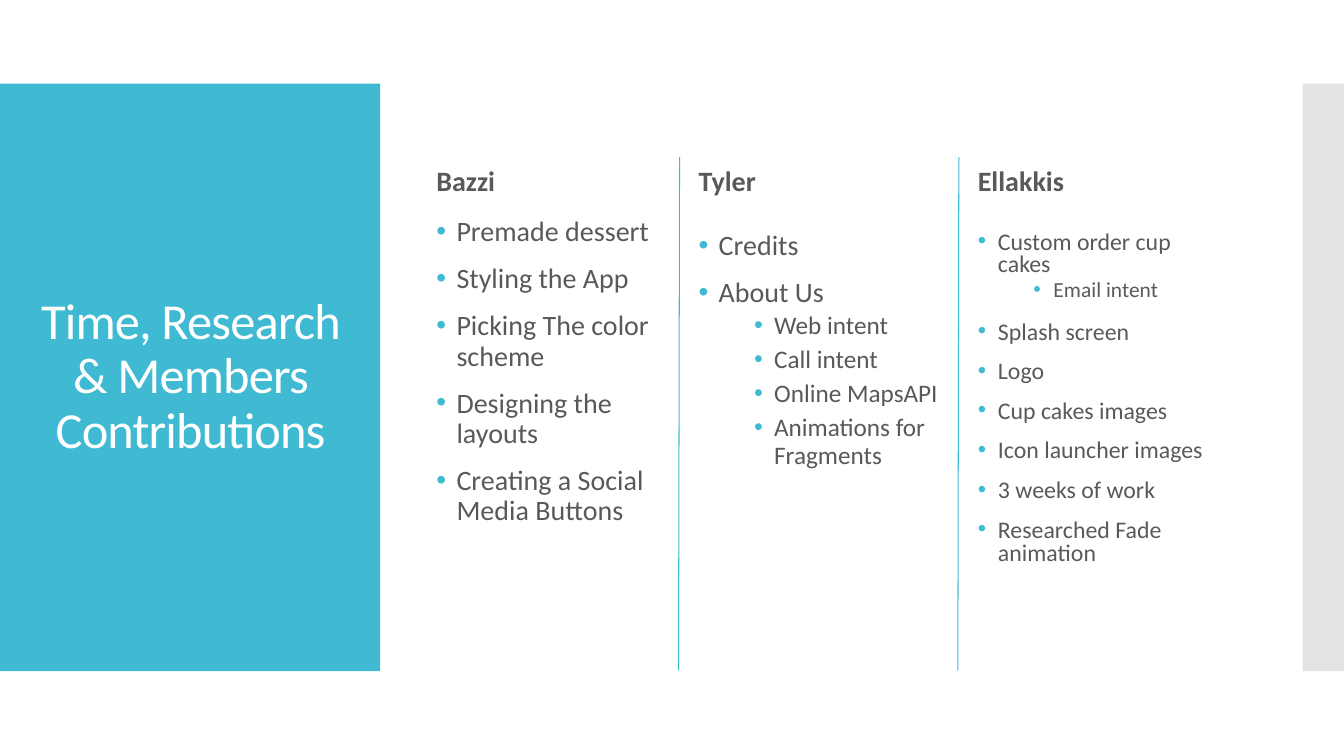
import lxml.etree
import pptx
import pptx.dml.color
import pptx.enum.shapes
import pptx.enum.text
import pptx.oxml.ns
import pptx.util
from pptx.util import Inches

# Content: each item is (level, text)
TITLE = "Time, Research & Members Contributions"
MEMBERS = [
    {"name": "Bazzi", "items": [
        (0, "Premade dessert"),
        (0, "Styling the App"),
        (0, "Picking The color scheme"),
        (0, "Designing the layouts"),
        (0, "Creating a Social Media Buttons"),
    ]},
    {"name": "Tyler", "items": [
        (0, "Credits"),
        (0, "About Us"),
        (1, "Web intent"),
        (1, "Call intent"),
        (1, "Online MapsAPI"),
        (1, "Animations for Fragments"),
    ]},
    {"name": "Ellakkis", "items": [
        (0, "Custom order cup cakes"),
        (1, "Email intent"),
        (0, "Splash screen"),
        (0, "Logo"),
        (0, "Cup cakes images"),
        (0, "Icon launcher images"),
        (0, "3 weeks of work"),
        (0, "Researched Fade animation"),
    ]},
]

# Layout: left and width of each column, then top and height of its list
COLUMNS = [
    {"left": 4.23, "width": 2.5, "top": 2.11, "height": 4.4, "sizes": (20, 18), "line": 0.9},
    {"left": 6.83, "width": 2.68, "top": 2.25, "height": 3.56, "sizes": (20, 18), "line": 0.9},
    {"left": 9.6, "width": 2.66, "top": 2.25, "height": 3.56, "sizes": (17, 15.3), "line": 0.8},
]
NAME_TOP, NAME_HEIGHT = 1.23, 0.78
PANEL_TOP, PANEL_HEIGHT = 0.83, 5.83
DIVIDER_TOP, DIVIDER_BOTTOM = 1.56, 6.65
LEVEL_INDENTS = (0.2, 0.75)
BULLET_HANG = 0.2

THEME = {
    "font": "Calibri",
    "accent": "40BAD2",
    "edge": "C8C8C8",
    "text": "595959",
    "title": "FFFFFF",
    "title_size": 36,
    "name_size": 20,
}


def rgb(key):
    return pptx.dml.color.RGBColor.from_string(THEME[key])


def add_element(parent, tag, **attributes):
    return lxml.etree.SubElement(parent, pptx.oxml.ns.qn(tag), **attributes)


def style(para, size, color, line_spacing=0.9, bold=False):
    para.line_spacing = line_spacing
    para.font.name = THEME["font"]
    para.font.size = pptx.util.Pt(size)
    para.font.bold = bold
    para.font.color.rgb = rgb(color)


def add_panel(page, left, width, color):
    panel = page.shapes.add_shape(
        pptx.enum.shapes.MSO_SHAPE.RECTANGLE,
        Inches(left), Inches(PANEL_TOP), Inches(width), Inches(PANEL_HEIGHT))
    panel.shadow.inherit = False
    panel.fill.solid()
    panel.fill.fore_color.rgb = rgb(color)
    panel.line.fill.background()
    return panel


def add_text_frame(page, left, top, width, height):
    box = page.shapes.add_textbox(Inches(left), Inches(top), Inches(width), Inches(height))
    box.text_frame.word_wrap = True
    return box.text_frame


def add_bullet(para, level):
    para.level = level
    properties = para._p.get_or_add_pPr()
    properties.set("marL", str(Inches(LEVEL_INDENTS[level])))
    properties.set("indent", str(-Inches(BULLET_HANG)))
    color = add_element(properties, "a:buClr")
    add_element(color, "a:srgbClr", val=THEME["accent"])
    add_element(properties, "a:buFont", typeface="Arial")
    add_element(properties, "a:buChar", char="•")


def add_member(page, member, column):
    # Name
    frame = add_text_frame(page, column["left"], NAME_TOP, column["width"], NAME_HEIGHT)
    frame.vertical_anchor = pptx.enum.text.MSO_ANCHOR.BOTTOM
    frame.text = member["name"]
    style(frame.paragraphs[0], THEME["name_size"], "text", bold=True)

    # Contributions
    frame = add_text_frame(page, column["left"], column["top"], column["width"], column["height"])
    for index, (level, text) in enumerate(member["items"]):
        para = frame.add_paragraph() if index else frame.paragraphs[0]
        para.text = text
        add_bullet(para, level)
        style(para, column["sizes"][level], "text", column["line"])
        if index:
            para.space_before = pptx.util.Pt(2.5 if level else 12)
        para.space_after = pptx.util.Pt(2.5 if level else 0)


def add_divider(page, bottom_x):
    divider = page.shapes.add_connector(
        pptx.enum.shapes.MSO_CONNECTOR.STRAIGHT,
        Inches(bottom_x + 0.01), Inches(DIVIDER_TOP), Inches(bottom_x), Inches(DIVIDER_BOTTOM))
    divider.line.color.rgb = rgb("accent")
    divider.line.width = pptx.util.Pt(0.75)
    add_element(divider._element.spPr, "a:effectLst")


def add_title(page):
    title = page.shapes.title
    title.left, title.top = Inches(0.28), Inches(1.23)
    title.width, title.height = Inches(3.22), Inches(5.03)
    frame = title.text_frame
    frame.text = TITLE
    frame.word_wrap = True
    frame.auto_size = pptx.enum.text.MSO_AUTO_SIZE.NONE
    frame.vertical_anchor = pptx.enum.text.MSO_ANCHOR.MIDDLE
    para = frame.paragraphs[0]
    para.alignment = pptx.enum.text.PP_ALIGN.CENTER
    style(para, THEME["title_size"], "title")
    para.runs[0]._r.get_or_add_rPr().set("spc", "-60")
    # Bring the title in front of its panel
    page.shapes._spTree.append(title._element)


def main():
    deck = pptx.Presentation()
    deck.slide_width, deck.slide_height = Inches(13.33), Inches(7.5)
    page = deck.slides.add_slide(deck.slide_layouts[5])

    # Side panels, the right one half transparent
    add_panel(page, 0, 3.77, "accent")
    edge = add_panel(page, 12.92, 0.41, "edge")
    edge_color = edge._element.spPr.find(".//" + pptx.oxml.ns.qn("a:srgbClr"))
    add_element(edge_color, "a:alpha", val="50000")

    add_title(page)

    # Member columns with a divider at the left of all but the first
    for member, column in zip(MEMBERS, COLUMNS):
        add_member(page, member, column)
    for column in COLUMNS[1:]:
        add_divider(page, column["left"] - 0.1)

    deck.save("out.pptx")


if __name__ == "__main__":
    main()
